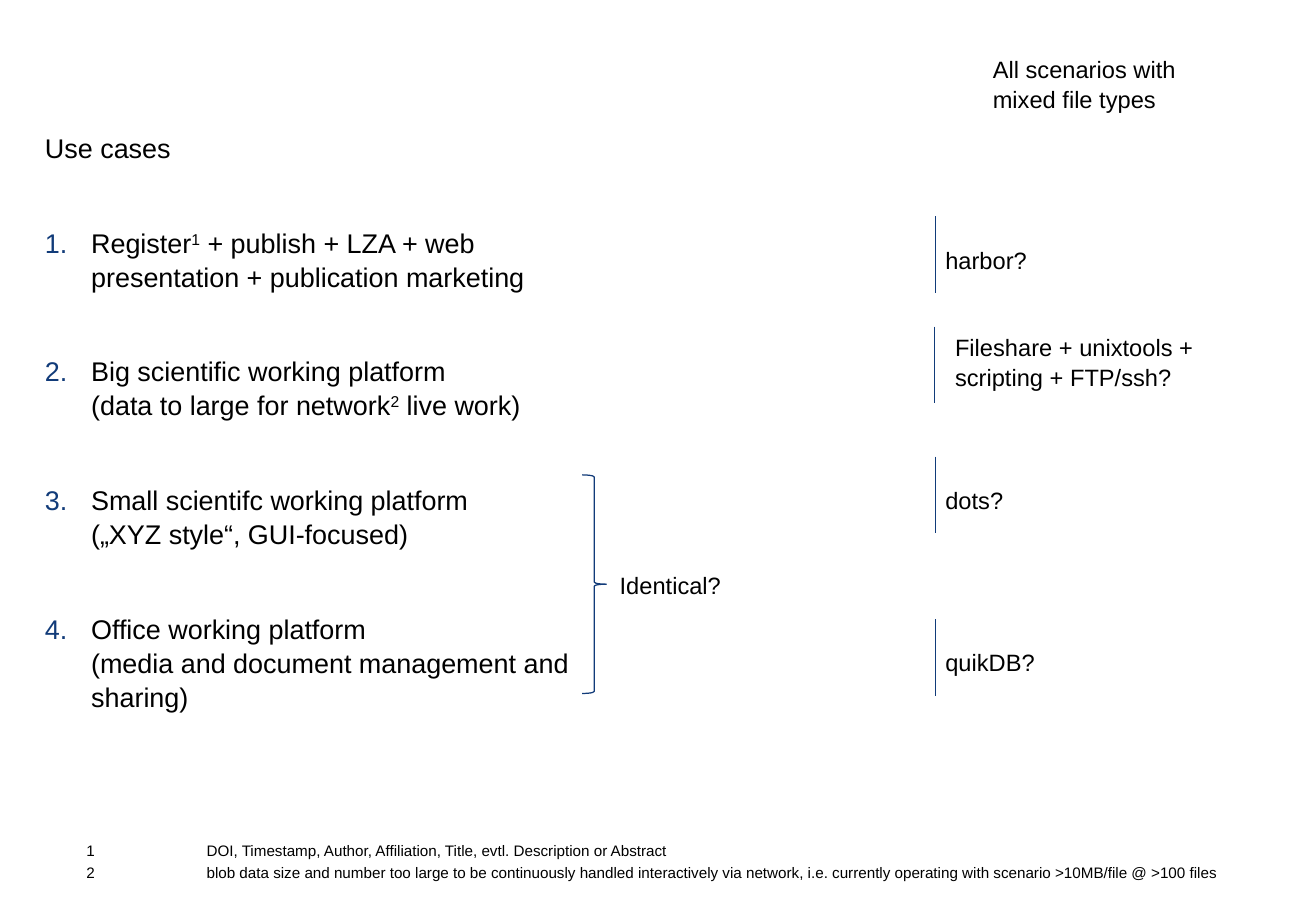
from pptx import Presentation
from pptx.dml.color import RGBColor
from pptx.enum.shapes import MSO_CONNECTOR, MSO_SHAPE
from pptx.enum.text import MSO_ANCHOR
from pptx.oxml.ns import qn
from pptx.util import Inches, Pt
from lxml.etree import SubElement

BLACK, BLUE = "000000", "113B79"


def color(hex_string):
    return RGBColor.from_string(hex_string)


def add_text(left, top, width, height, paragraphs, size, space_before):
    """Each paragraph is a list of runs; a run of one digit is a superscript."""
    text_box = slide.shapes.add_textbox(
        Inches(left), Inches(top), Inches(width), Inches(height))
    frame = text_box.text_frame
    frame.word_wrap = True
    frame.margin_left = frame.margin_top = frame.margin_right = frame.margin_bottom = 0
    for index, runs in enumerate(paragraphs):
        paragraph = frame.add_paragraph() if index else frame.paragraphs[0]
        paragraph.space_before = Pt(space_before)
        paragraph.line_spacing = 1.05
        for text in runs:
            for line_number, line in enumerate(text.split("\n")):
                if line_number:
                    paragraph.add_line_break()
                run = paragraph.add_run()
                run.text = line
                run.font.name = "Arial"
                run.font.size = Pt(size)
                run.font.color.rgb = color(BLACK)
                if line.isdigit():
                    run.font._element.set("baseline", "30000")
        for line_break in paragraph._p.findall(qn("a:br")):
            SubElement(line_break, qn("a:rPr"), sz=str(size * 100))
    return frame


presentation = Presentation()
presentation.slide_width = Inches(10.83)
presentation.slide_height = Inches(7.5)
slide = presentation.slides.add_slide(presentation.slide_layouts[6])

# Numbered use cases under their heading
use_cases = add_text(0.37, 1.07, 4.65, 4.71, [
    ["Use cases"],
    ["Register", "1", " + publish + LZA + web presentation + publication marketing"],
    ["Big scientific working platform\n(data to large for network", "2", " live work)"],
    ["Small scientifc working platform\n(„XYZ style“, GUI-focused)"],
    ["Office working platform\n(media and document management and sharing)"],
], 16, 36)
for paragraph in use_cases.paragraphs[1:]:
    properties = paragraph._p.get_or_add_pPr()
    properties.set("marL", str(Inches(0.38)))
    properties.set("indent", str(-Inches(0.38)))
    bullet_color = SubElement(properties, qn("a:buClr"))
    SubElement(bullet_color, qn("a:srgbClr"), val=BLUE)
    SubElement(properties, qn("a:buFont"), typeface="+mj-lt")
    SubElement(properties, qn("a:buAutoNum"), type="arabicPeriod")

# Footnotes: number and text on two tab stops
footnotes = add_text(0.22, 6.93, 10.41, 0.33, [
    ["\t1\tDOI, Timestamp, Author, Affiliation, Title, evtl. Description or Abstract"],
    ["\t2\tblob data size and number too large to be continuously handled interactively "
     "via network, i.e. currently operating with scenario >10MB/file @ >100 files"],
], 9, 2)
footnotes.vertical_anchor = MSO_ANCHOR.BOTTOM
for paragraph in footnotes.paragraphs:
    tab_list = SubElement(paragraph._p.get_or_add_pPr(), qn("a:tabLst"))
    for position in (0.49, 1.48):
        SubElement(tab_list, qn("a:tab"), pos=str(Inches(position)), algn="l")

# Brace joining use cases 3 and 4
brace = slide.shapes.add_shape(
    MSO_SHAPE.RIGHT_BRACE, Inches(4.79), Inches(3.91), Inches(0.2), Inches(1.8))
brace.shadow.inherit = False
brace.fill.background()
brace.line.color.rgb = color(BLUE)
brace.line.width = Pt(0.75)

# Side remarks
for left, top, width, height, remark in [
    (8.17, 0.44, 1.72, 0.47, "All scenarios with mixed file types"),
    (5.1, 4.69, 0.94, 0.24, "Identical?"),
    (7.78, 2.01, 1.1, 0.24, "harbor?"),
    (7.86, 2.73, 1.97, 0.47, "Fileshare + unixtools + scripting + FTP/ssh?"),
    (7.78, 3.99, 1.1, 0.24, "dots?"),
    (7.78, 5.32, 1.1, 0.24, "quikDB?"),
]:
    add_text(left, top, width, height, [[remark]], 14, 2)

# Rules beside the suggested tools
for x, top in [(7.7, 1.78), (7.69, 2.69), (7.7, 3.76), (7.7, 5.1)]:
    rule = slide.shapes.add_connector(
        MSO_CONNECTOR.STRAIGHT, Inches(x), Inches(top), Inches(x), Inches(top + 0.63))
    rule.line.color.rgb = color(BLUE)
    rule.line.width = Pt(0.75)
    SubElement(rule._element.spPr, qn("a:effectLst"))

presentation.save("out.pptx")
